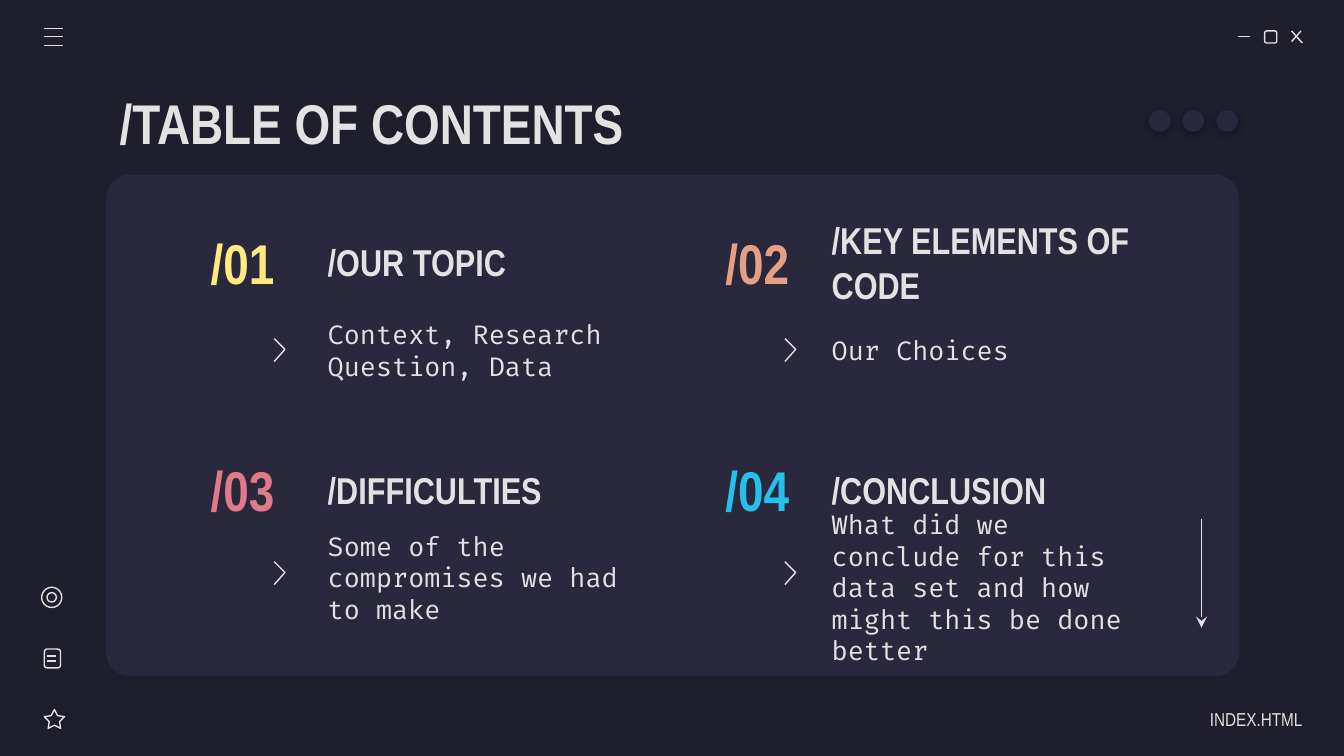
from lxml.etree import SubElement
from pptx import Presentation
from pptx.dml.color import RGBColor
from pptx.enum.shapes import MSO_CONNECTOR, MSO_SHAPE as Shape
from pptx.enum.text import MSO_ANCHOR, MSO_AUTO_SIZE, PP_ALIGN as Align
from pptx.oxml import parse_xml
from pptx.oxml.ns import nsdecls, qn
from pptx.util import Inches, Pt

# Content
HEADING = "/TABLE OF CONTENTS"
FILE_LABEL = "INDEX.HTML"
# number, number colour, title, description, description height
SECTIONS = [
    ("/01", "FFEA7D", "/OUR TOPIC", "Context, Research Question, Data", 0.75),
    ("/02", "E5A083", "/KEY ELEMENTS OF CODE", "Our Choices", 0.75),
    ("/03", "E07A88", "/DIFFICULTIES", "Some of the compromises we had to make", 0.75),
    ("/04", "24BFEB", "/CONCLUSION",
     "What did we conclude for this data set and how might this be done better", 0.9),
]

# Theme
BACKGROUND, PANEL, LIGHT = "1E1E2C", "29283D", "E2E2E2"
HEAD_FONT, BODY_FONT = "Arial Narrow", "Fira Code"

# Grid: left edges of number, title and chevron per column; tops per row
COLUMNS = [(1.35, 2.34, 2.04), (5.18, 6.09, 5.84)]
ROWS = [(1.67, 2.52), (3.36, 4.18)]
TITLE_HEIGHT = 0.56

# Widescreen slide, 16:9
prs = Presentation()
prs.slide_width = Inches(10)
prs.slide_height = prs.slide_width * 9 // 16
slide = prs.slides.add_slide(prs.slide_layouts[5])
shapes = slide.shapes


def rgb(value):
    return RGBColor.from_string(value)


def outline(item):
    item.line.color.rgb = rgb(LIGHT)
    item.line.width = Pt(0.75)


def add_text(text, left, top, width, height, box=None, size=14, font=HEAD_FONT,
             color=LIGHT, bold=False, align=Align.LEFT, right_inset=0.1):
    box = box or shapes.add_textbox(0, 0, 0, 0)
    box.left, box.top = Inches(left), Inches(top)
    box.width, box.height = Inches(width), Inches(height)
    frame = box.text_frame
    frame.word_wrap = True
    frame.auto_size = MSO_AUTO_SIZE.NONE
    frame.vertical_anchor = MSO_ANCHOR.MIDDLE
    frame.margin_left = frame.margin_top = frame.margin_bottom = Inches(0.1)
    frame.margin_right = Inches(right_inset)
    paragraph = frame.paragraphs[0]
    paragraph.alignment = align
    run = paragraph.add_run()
    run.text = text
    run.font.size, run.font.name, run.font.bold = Pt(size), font, bold
    run.font.color.rgb = rgb(color)


def add_preset(kind, left, top, width, height, fill=None, adjust=None):
    preset = shapes.add_shape(kind, Inches(left), Inches(top), Inches(width), Inches(height))
    preset.shadow.inherit = False
    if adjust is not None:
        preset.adjustments[0] = adjust
    if fill:
        preset.fill.solid()
        preset.fill.fore_color.rgb = rgb(fill)
        preset.line.fill.background()
    else:
        preset.fill.background()
        outline(preset)
    return preset


def add_line(x1, y1, x2, y2):
    line = shapes.add_connector(MSO_CONNECTOR.STRAIGHT, Inches(x1), Inches(y1),
                                Inches(x2), Inches(y2))
    outline(line)
    SubElement(line._element.spPr, qn("a:effectLst"))
    return line


def add_chevron(left, top):
    builder = shapes.build_freeform(Inches(left), Inches(top))
    builder.add_line_segments([(Inches(left + 0.08), Inches(top + 0.08)),
                               (Inches(left), Inches(top + 0.17))], close=False)
    chevron = builder.convert_to_shape()
    chevron.shadow.inherit = False
    chevron.fill.background()
    outline(chevron)


def add_soft_shadow(shape):
    properties = shape._element.spPr
    properties.remove(properties.find(qn("a:effectLst")))
    properties.append(parse_xml(
        f'<a:effectLst {nsdecls("a")}><a:outerShdw blurRad="{Pt(4.5)}" dist="{Pt(1.5)}" '
        'dir="5400000" algn="bl" rotWithShape="0"><a:srgbClr val="000000">'
        '<a:alpha val="30000"/></a:srgbClr></a:outerShdw></a:effectLst>'))


# Background and panel
slide.background.fill.solid()
slide.background.fill.fore_color.rgb = rgb(BACKGROUND)
add_preset(Shape.ROUNDED_RECTANGLE, 0.79, 1.3, 8.43, 3.73, fill=PANEL, adjust=0.047)

# Window buttons
add_line(9.21, 0.27, 9.3, 0.27)
add_preset(Shape.ROUNDED_RECTANGLE, 9.41, 0.23, 0.09, 0.09)
add_line(9.61, 0.23, 9.69, 0.32)
add_line(9.68, 0.23, 9.61, 0.31)

# Heading and file label
add_text(HEADING, 0.79, 0.59, 8.43, 0.63, box=shapes.title, size=30, bold=True)
add_text(FILE_LABEL, 8.52, 5.2, 1.17, 0.3, size=10, align=Align.RIGHT, right_inset=0)

# Sections
for index, (number, color, title, description, height) in enumerate(SECTIONS):
    row, column = divmod(index, 2)
    number_left, title_left, chevron_left = COLUMNS[column]
    top, chevron_top = ROWS[row]
    add_text(title, title_left, top, 2.56, TITLE_HEIGHT, size=20, bold=True)
    add_text(number, number_left, top, 0.91, TITLE_HEIGHT, size=30, color=color,
             bold=True, align=Align.CENTER)
    add_text(description, title_left, top + TITLE_HEIGHT, 2.56, height, font=BODY_FONT)
    add_chevron(chevron_left, chevron_top)

# Menu icon
for y in (0.21, 0.27, 0.34):
    add_line(0.33, y, 0.47, y)

# Side icons: target, document, star
add_preset(Shape.OVAL, 0.31, 4.37, 0.15, 0.15)
add_preset(Shape.OVAL, 0.35, 4.41, 0.07, 0.07)
add_preset(Shape.ROUNDED_RECTANGLE, 0.33, 4.83, 0.12, 0.14)
for y in (4.88, 4.92):
    add_line(0.35, y, 0.42, y)
add_preset(Shape.STAR_5_POINT, 0.33, 5.28, 0.15, 0.14, adjust=0.254)

# Scroll arrow
scroll_arrow = add_line(8.94, 3.86, 8.94, 4.67)
SubElement(scroll_arrow.line._get_or_add_ln(), qn("a:tailEnd"), type="stealth")

# Dots above the panel
for position in range(3):
    add_soft_shadow(add_preset(Shape.OVAL, 8.55 + 0.25 * position, 0.82, 0.16, 0.16, fill=PANEL))

prs.save("out.pptx")
